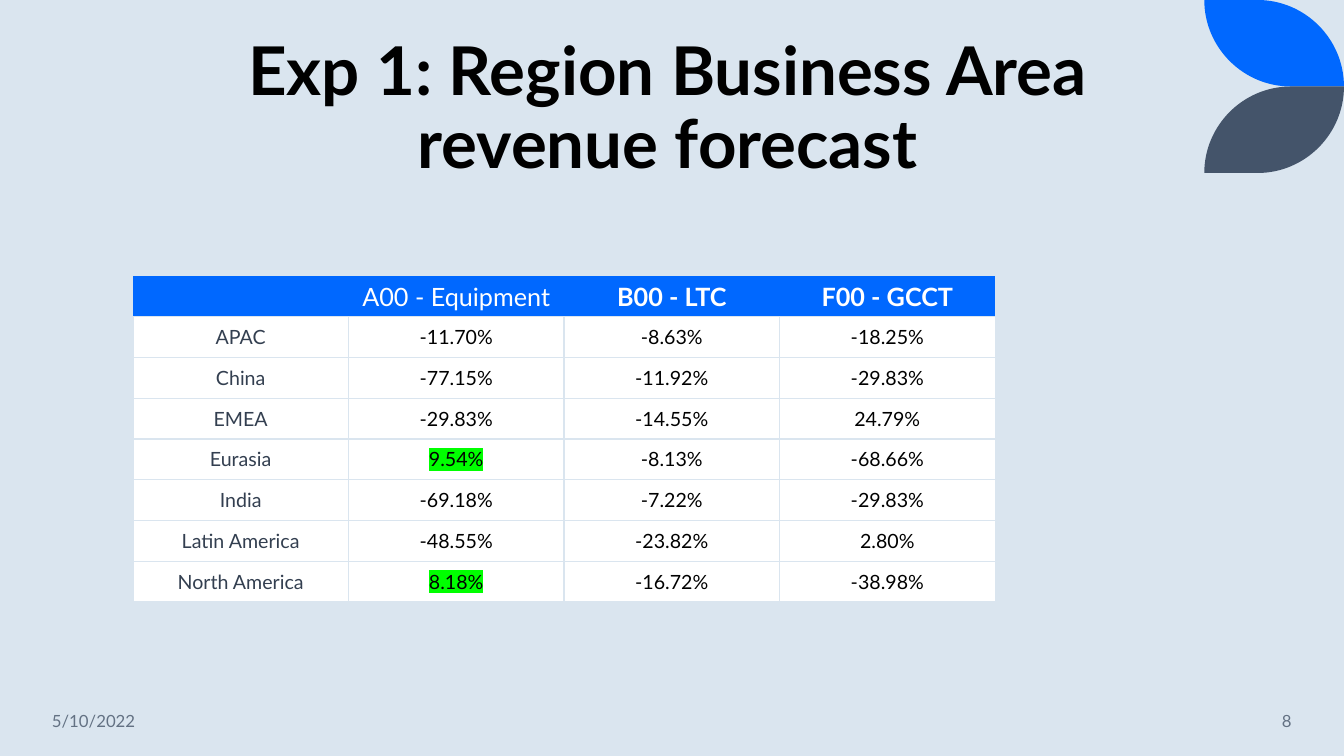
from dataclasses import dataclass

from lxml import etree
from pptx import Presentation
from pptx.dml.color import RGBColor
from pptx.enum.text import MSO_ANCHOR, MSO_AUTO_SIZE, PP_ALIGN
from pptx.oxml.ns import qn
from pptx.util import Cm, Pt

LEFT, CENTER, RIGHT = PP_ALIGN.LEFT, PP_ALIGN.CENTER, PP_ALIGN.RIGHT
MIDDLE, BOTTOM = MSO_ANCHOR.MIDDLE, MSO_ANCHOR.BOTTOM
NO_AUTOFIT = MSO_AUTO_SIZE.NONE

FONT = "Lato"
COLORS = {
    "background": "DAE5EF",
    "blue": "0068FF",
    "slate": "44546A",
    "region": "333F50",
    "footer": "637183",
    "black": "000000",
    "white": "FFFFFF",
    "highlight": "00FF00",
}


@dataclass
class Leaf:
    color: str
    outer_edge: float  # the edge away from the line where the leaves meet


@dataclass
class Footer:
    text: str
    left: float
    width: float
    align: PP_ALIGN


LEAF_LEFT, LEAF_RIGHT, LEAF_RADIUS = 30.35, 33.87, 2.18
ARC_HANDLE = 0.55  # Bezier handle of a quarter circle, as a share of the radius
LEAVES = [Leaf("blue", 0), Leaf("slate", 2 * LEAF_RADIUS)]
FOOTERS = [
    Footer("5/10/2022", 1.06, 4.72, LEFT),
    Footer("8", 28.2, 4.6, RIGHT),
]
TITLE_LINES = ["Exp 1: Region Business Area", "revenue forecast"]
FORECAST = [
    ["", "A00 - Equipment", "B00 - LTC", "F00 - GCCT"],
    ["APAC", "-11.70%", "-8.63%", "-18.25%"],
    ["China", "-77.15%", "-11.92%", "-29.83%"],
    ["EMEA", "-29.83%", "-14.55%", "24.79%"],
    ["Eurasia", "9.54%", "-8.13%", "-68.66%"],
    ["India", "-69.18%", "-7.22%", "-29.83%"],
    ["Latin America", "-48.55%", "-23.82%", "2.80%"],
    ["North America", "8.18%", "-16.72%", "-38.98%"],
]
HIGHLIGHTED = {"9.54%", "8.18%"}
TABLE_WIDTH, TABLE_HEIGHT = 21.73, 8.22


def rgb(name: str) -> RGBColor:
    return RGBColor.from_string(COLORS[name])


def add_span(para, text: str, size: float, color: str, bold: bool = False):
    span = para.add_run()
    span.text = text
    span.font.name = FONT
    span.font.size = Pt(size)
    span.font.bold = bold
    span.font.color.rgb = rgb(color)
    return span


def highlight(span) -> None:
    mark = etree.Element(qn("a:highlight"))
    etree.SubElement(mark, qn("a:srgbClr"), val=COLORS["highlight"])
    span.font._element.find(qn("a:solidFill")).addnext(mark)


def set_borders(cell, visible: set[str]) -> None:
    properties = cell._tc.get_or_add_tcPr()
    for index, side in enumerate("LRTB"):
        line = etree.Element(qn(f"a:ln{side}"), w=str(Pt(1)))
        if side in visible:
            fill = etree.SubElement(line, qn("a:solidFill"))
            etree.SubElement(fill, qn("a:srgbClr"), val=COLORS["background"])
        else:
            etree.SubElement(line, qn("a:noFill"))
        properties.insert(index, line)


def bend_segment(segment) -> None:
    """Turn a straight segment into a quarter circle that sets off horizontally."""
    start, end = (
        [int(element[0].get(axis)) for axis in "xy"]
        for element in (segment.getprevious(), segment)
    )
    run, rise = end[0] - start[0], end[1] - start[1]
    first_handle = (start[0] + ARC_HANDLE * run, start[1])
    second_handle = (end[0], end[1] - ARC_HANDLE * rise)
    arc = etree.Element(qn("a:cubicBezTo"))
    for x, y in (first_handle, second_handle, end):
        etree.SubElement(arc, qn("a:pt"), x=str(round(x)), y=str(round(y)))
    segment.addprevious(arc)
    segment.getparent().remove(segment)


def add_leaf(page, leaf: Leaf) -> None:
    corners = [
        (LEAF_LEFT, leaf.outer_edge),
        (LEAF_RIGHT - LEAF_RADIUS, leaf.outer_edge),
        (LEAF_RIGHT, LEAF_RADIUS),
        (LEAF_LEFT + LEAF_RADIUS, LEAF_RADIUS),
        (LEAF_LEFT, leaf.outer_edge),
    ]
    points = [(Cm(x), Cm(y)) for x, y in corners]
    builder = page.shapes.build_freeform(*points[0])
    builder.add_line_segments(points[1:], close=True)
    shape = builder.convert_to_shape()
    segments = list(shape._element.iter(qn("a:lnTo")))
    # Corners two and four start a quarter circle; work backwards from straight neighbours
    for index in (3, 1):
        bend_segment(segments[index])
    shape.shadow.inherit = False
    shape.fill.solid()
    shape.fill.fore_color.rgb = rgb(leaf.color)
    shape.line.fill.background()


def add_title(page) -> None:
    title = page.shapes.title
    title.left, title.top, title.width, title.height = Cm(3.25), Cm(1.06), Cm(27.15), Cm(3.68)
    frame = title.text_frame
    frame.word_wrap = True
    frame.auto_size = NO_AUTOFIT
    frame.vertical_anchor = BOTTOM
    para = frame.paragraphs[0]
    para.alignment = CENTER
    para.line_spacing = 0.9
    for index, line in enumerate(TITLE_LINES):
        if index:
            para.add_line_break()
        add_span(para, line, 48, "black", bold=True)


def add_forecast(page) -> None:
    rows, columns = len(FORECAST), len(FORECAST[0])
    table = page.shapes.add_table(
        rows, columns, Cm(3.35), Cm(6.95), Cm(TABLE_WIDTH), Cm(TABLE_HEIGHT)
    ).table
    for row_index, values in enumerate(FORECAST):
        header = row_index == 0
        for column_index, text in enumerate(values):
            cell = table.cell(row_index, column_index)
            cell.vertical_anchor = MIDDLE
            cell.fill.solid()
            cell.fill.fore_color.rgb = rgb("blue" if header else "white")
            set_borders(cell, {"B"} if header else set("LRTB"))
            if not text:
                continue
            para = cell.text_frame.paragraphs[0]
            para.alignment = CENTER
            if header:
                add_span(para, text, 18, "white", bold=column_index > 1)
            else:
                span = add_span(para, text, 14, "black" if column_index else "region")
                if text in HIGHLIGHTED:
                    highlight(span)


def add_footer(page, footer: Footer) -> None:
    box = page.shapes.add_textbox(Cm(footer.left), Cm(17.65), Cm(footer.width), Cm(1.02))
    frame = box.text_frame
    frame.word_wrap = True
    frame.vertical_anchor = MIDDLE
    para = frame.paragraphs[0]
    para.alignment = footer.align
    add_span(para, footer.text, 12, "footer")


# Deck and page
deck = Presentation()
deck.slide_width, deck.slide_height = Cm(33.87), Cm(19.05)
page = deck.slides.add_slide(deck.slide_layouts.get_by_name("Title Only"))
page.background.fill.solid()
page.background.fill.fore_color.rgb = rgb("background")

# Corner leaves
for leaf in LEAVES:
    add_leaf(page, leaf)

# Title, table and footers
add_title(page)
add_forecast(page)
for footer in FOOTERS:
    add_footer(page, footer)

deck.save("out.pptx")
